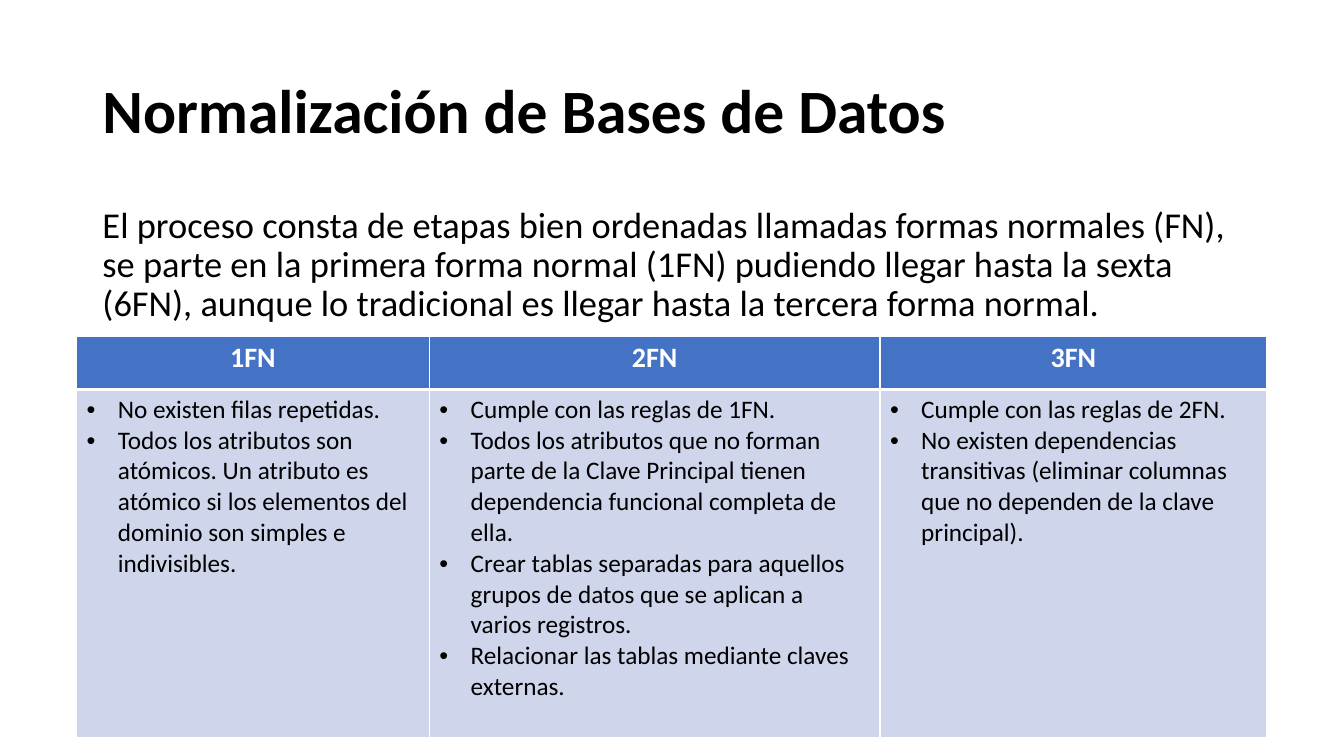
from dataclasses import dataclass

from lxml import etree
from pptx import Presentation
from pptx.dml.color import RGBColor
from pptx.enum.text import MSO_ANCHOR, MSO_AUTO_SIZE, PP_ALIGN
from pptx.oxml.ns import qn
from pptx.table import _Cell
from pptx.text.text import TextFrame, _Paragraph
from pptx.util import Emu, Inches, Pt

LEFT, CENTER = PP_ALIGN.LEFT, PP_ALIGN.CENTER
TOP, MIDDLE = MSO_ANCHOR.TOP, MSO_ANCHOR.MIDDLE
NO_AUTOFIT = MSO_AUTO_SIZE.NONE

BLACK = RGBColor(0x00, 0x00, 0x00)
WHITE = RGBColor(0xFF, 0xFF, 0xFF)
HEADER_BLUE = RGBColor(0x44, 0x72, 0xC4)
PALE_BLUE = RGBColor(0xCF, 0xD5, 0xEA)
FONT = "Calibri"

SLIDE_WIDTH, SLIDE_HEIGHT = Inches(13.33), Inches(7.5)
GRID_COLUMNS, GRID_ROWS = 160, 90
BULLET_INDENT = Inches(0.31)


@dataclass(frozen=True)
class GridBox:
    left: float
    top: float
    width: float
    height: float


@dataclass(frozen=True)
class NormalForm:
    name: str
    columns: float
    rules: tuple[str, ...]


TITLE_BOX = GridBox(11, 4.8, 138, 17.4)
INTRO_BOX = GridBox(11, 24, 138, 17)
TABLE_LEFT, TABLE_TOP = 9.12, 40
HEADER_ROWS, RULES_ROWS = 6.36, 41.5

TITLE = "Normalización de Bases de Datos"
INTRO = (
    "El proceso consta de etapas bien ordenadas llamadas formas normales (FN), "
    "se parte en la primera forma normal (1FN) pudiendo llegar hasta la sexta "
    "(6FN), aunque lo tradicional es llegar hasta la tercera forma normal."
)
NORMAL_FORMS = (
    NormalForm("1FN", 42, (
        "No existen filas repetidas.",
        "Todos los atributos son atómicos. Un atributo es atómico si los "
        "elementos del dominio son simples e indivisibles.",
    )),
    NormalForm("2FN", 53.64, (
        "Cumple con las reglas de 1FN.",
        "Todos los atributos que no forman parte de la Clave Principal tienen "
        "dependencia funcional completa de ella.",
        "Crear tablas separadas para aquellos grupos de datos que se aplican a "
        "varios registros.",
        "Relacionar las tablas mediante claves externas.",
    )),
    NormalForm("3FN", 46.08, (
        "Cumple con las reglas de 2FN.",
        "No existen dependencias transitivas (eliminar columnas que no "
        "dependen de la clave principal).",
    )),
)


def across(columns: float) -> Emu:
    return Emu(round(SLIDE_WIDTH * columns / GRID_COLUMNS))


def down(rows: float) -> Emu:
    return Emu(round(SLIDE_HEIGHT * rows / GRID_ROWS))


def set_bullet(paragraph: _Paragraph, bullet: bool) -> None:
    """Give the paragraph a hanging bullet, or clear an inherited one."""
    properties = paragraph._p.get_or_add_pPr()
    indent = BULLET_INDENT if bullet else 0
    properties.set("marL", str(indent))
    properties.set("indent", str(-indent))
    if bullet:
        etree.SubElement(properties, qn("a:buFont"), typeface="Arial")
        etree.SubElement(properties, qn("a:buChar"), char="•")
    else:
        etree.SubElement(properties, qn("a:buNone"))


def write_text(frame: TextFrame, *texts: str, size: float, color: RGBColor = BLACK,
               bold: bool = False, align: PP_ALIGN = LEFT, bullet: bool = False,
               line_spacing: float = 1.0, space_before: float = 0) -> None:
    """Write each text as one paragraph of the frame."""
    frame.word_wrap = True
    for index, text in enumerate(texts):
        paragraph = frame.add_paragraph() if index else frame.paragraphs[0]
        paragraph.alignment = align
        paragraph.line_spacing = line_spacing
        paragraph.space_before = Pt(space_before)
        set_bullet(paragraph, bullet)
        run = paragraph.add_run()
        run.text = text
        run.font.name = FONT
        run.font.size = Pt(size)
        run.font.bold = bold
        run.font.color.rgb = color


def place_placeholder(placeholder, box: GridBox, anchor: MSO_ANCHOR) -> TextFrame:
    placeholder.left, placeholder.top = across(box.left), down(box.top)
    placeholder.width, placeholder.height = across(box.width), down(box.height)
    frame = placeholder.text_frame
    frame.auto_size = NO_AUTOFIT
    frame.vertical_anchor = anchor
    return frame


def style_cell(cell: _Cell, fill: RGBColor, top: float, bottom: float) -> None:
    """Fill the cell and draw white borders, top and bottom widths in points."""
    cell.fill.solid()
    cell.fill.fore_color.rgb = fill
    properties = cell._tc.get_or_add_tcPr()
    borders = {"a:lnL": 1, "a:lnR": 1, "a:lnT": top, "a:lnB": bottom}
    for position, (side, width) in enumerate(borders.items()):
        border = etree.Element(qn(side), w=str(Pt(width)))
        solid = etree.SubElement(border, qn("a:solidFill"))
        etree.SubElement(solid, qn("a:srgbClr"), val=str(WHITE))
        properties.insert(position, border)


def add_forms_table(slide, forms: tuple[NormalForm, ...]) -> None:
    width = sum(form.columns for form in forms)
    table = slide.shapes.add_table(
        2, len(forms), across(TABLE_LEFT), down(TABLE_TOP),
        across(width), down(HEADER_ROWS + RULES_ROWS),
    ).table
    for row, height in zip(table.rows, (HEADER_ROWS, RULES_ROWS)):
        row.height = down(height)
    for index, form in enumerate(forms):
        table.columns[index].width = across(form.columns)
        header, rules = table.cell(0, index), table.cell(1, index)
        style_cell(header, HEADER_BLUE, top=1, bottom=3)
        write_text(header.text_frame, form.name, size=20, color=WHITE,
                   bold=True, align=CENTER)
        style_cell(rules, PALE_BLUE, top=3, bottom=1)
        write_text(rules.text_frame, *form.rules, size=18, bullet=True)


def main() -> None:
    presentation = Presentation()
    presentation.slide_width, presentation.slide_height = SLIDE_WIDTH, SLIDE_HEIGHT
    slide = presentation.slides.add_slide(presentation.slide_layouts[1])

    heading = place_placeholder(slide.shapes.title, TITLE_BOX, MIDDLE)
    write_text(heading, TITLE, size=44, bold=True, line_spacing=0.9)
    intro = place_placeholder(slide.placeholders[1], INTRO_BOX, TOP)
    write_text(intro, INTRO, size=26, line_spacing=0.9, space_before=10)
    add_forms_table(slide, NORMAL_FORMS)

    presentation.save("out.pptx")


if __name__ == "__main__":
    main()
